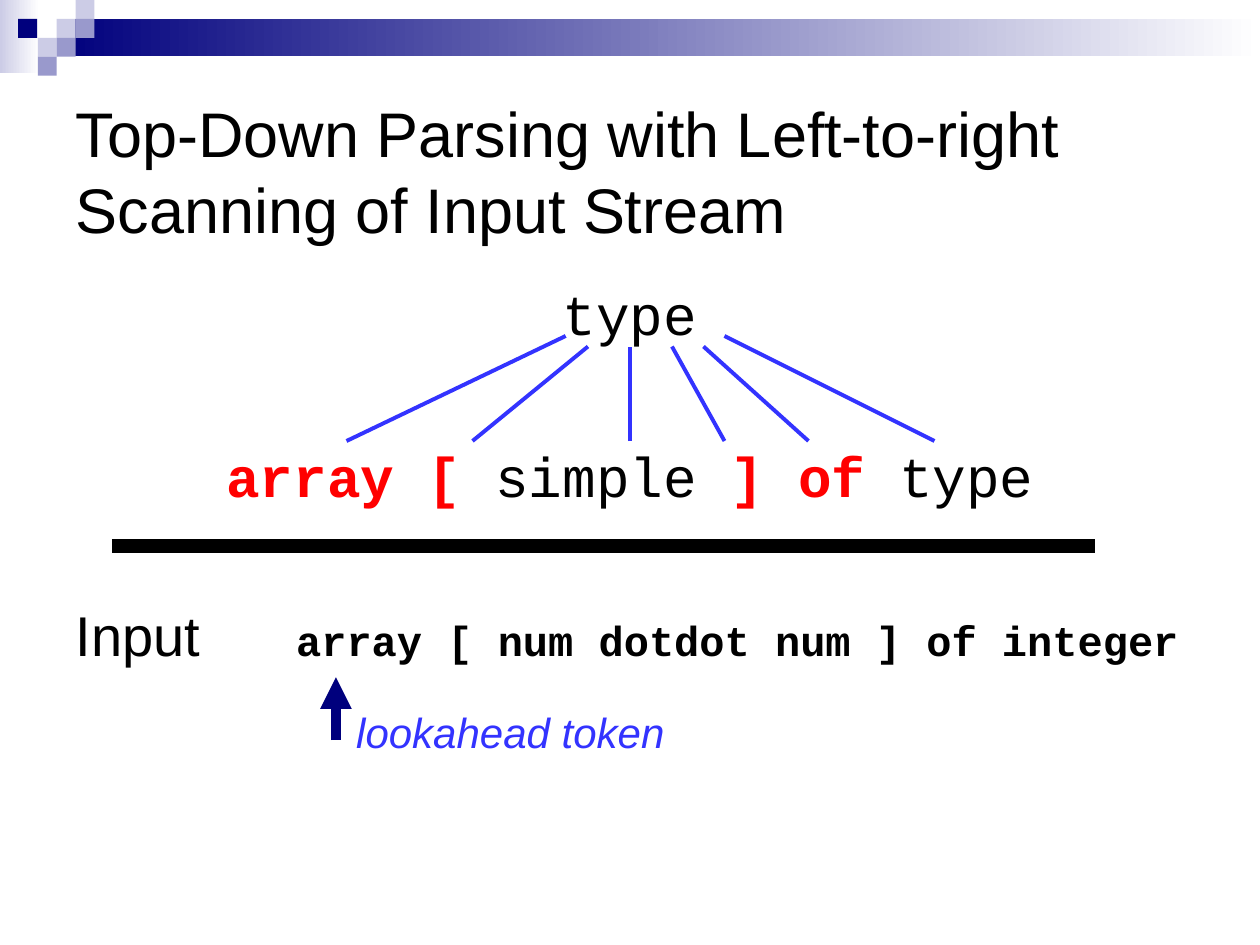
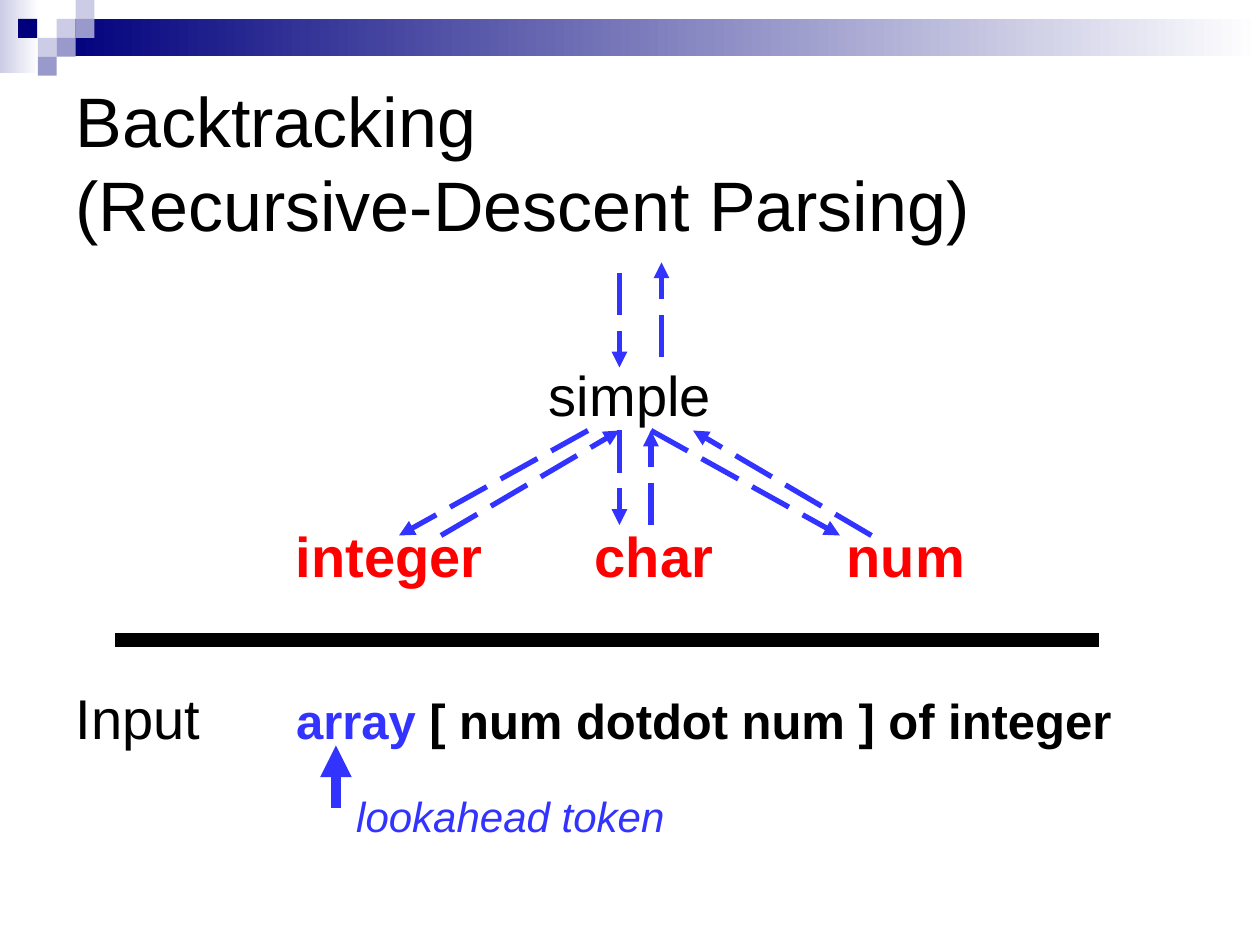
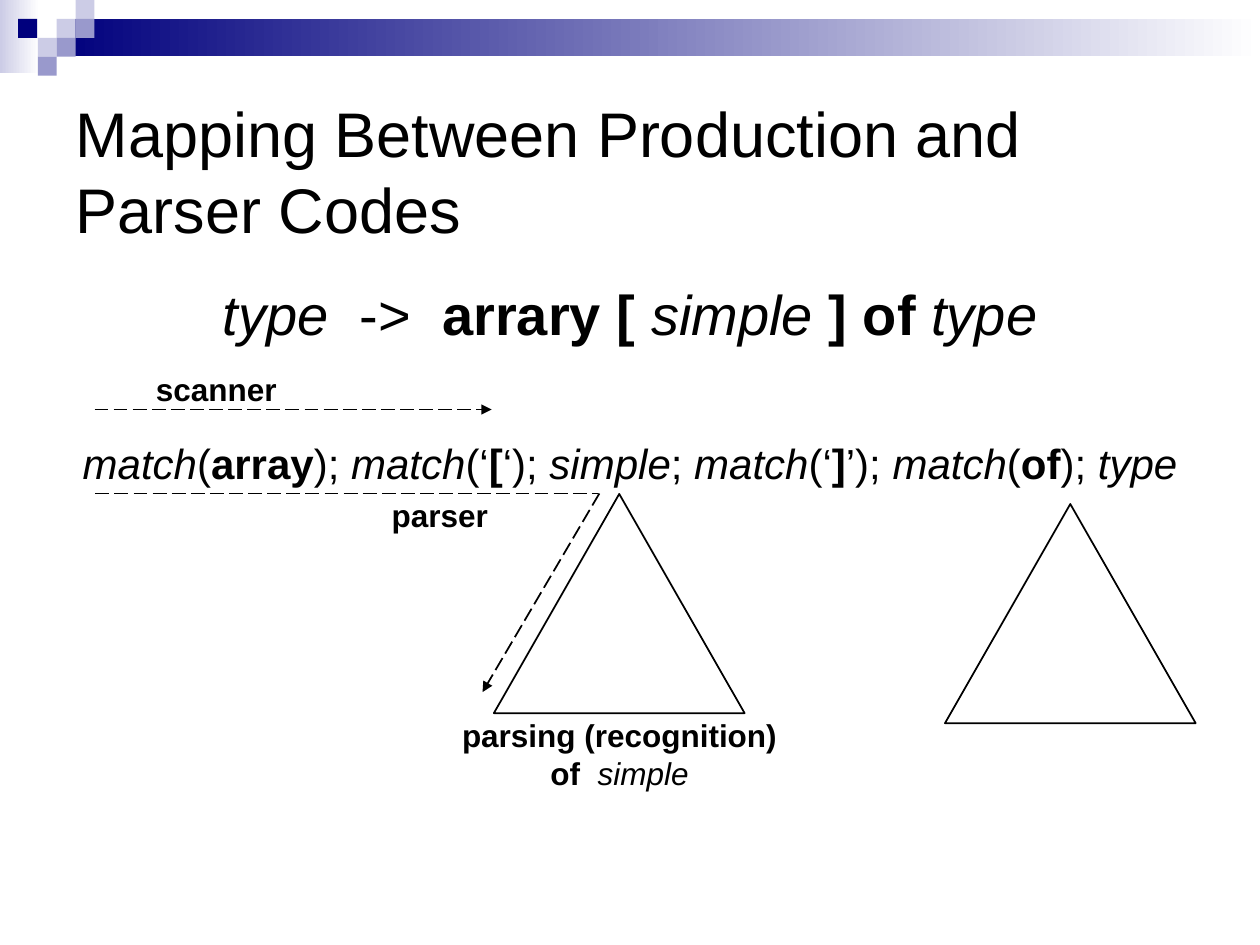
from lxml import etree
from pptx import Presentation
from pptx import util as u
from pptx.dml.color import RGBColor
from pptx.enum import dml, shapes, text
from pptx.oxml import ns

Pt = u.Pt
NAVY, BLUE, RED, BLACK, WHITE = "00007D", "3333FF", "FF0000", "000000", "FFFFFF"
PALE, LILAC = "CCCCE6", "9999CC"
SANS, MONO = "Arial", "Courier New"
CENTER, LEFT = text.PP_ALIGN.CENTER, text.PP_ALIGN.LEFT

# ---- Shared content: bands, squares, title and input line ----
TITLE_BOX = (36, 36, 648, 108)
BANDS = [((0, 0, 22.5, 42), PALE), ((32.4, 10.8, 687.6, 21.2), NAVY)]
SQUARE = 10.8
SQUARES = [(32.4, 10.8, PALE), (43.2, 0, PALE), (43.2, 10.8, LILAC),
           (21.6, 21.6, PALE), (10.4, 10.8, NAVY), (32.4, 21.6, LILAC),
           (21.6, 32.4, LILAC)]
INPUT_HANG = 126
BOLD, ITALIC = {"bold": True}, {"italic": True}
TERMINAL = {"bold": True, "color": RED}

# ---- Slide contents: each paragraph is (runs, format) ----
SCANNING = {
    "title": "Top-Down Parsing with Left-to-right Scanning of Input Stream",
    "title_size": 36,
    "body_box": (36, 156, 648, 306),
    "body": [
        (["type"], {"font": MONO, "align": CENTER}),
        ([("array [", TERMINAL), " simple ", ("] of", TERMINAL), " type"],
         {"font": MONO, "align": CENTER, "before": 54.5}),
        (["Input\t", ("array [ num dotdot num ] of integer",
                      {"size": 24, "font": MONO, "bold": True})],
         {"before": 52.5, "hang": INPUT_HANG}),
    ],
    "marker": {"rule": (64, 626, 312), "arrow_top": 387, "label_top": 400,
               "color": NAVY},
}
BRANCHES = [((198, 252), (323.25, 192)), ((270, 252), (336, 198)),
            ((360, 252), (360, 198)), ((414, 252), (384, 198)),
            ((402, 198), (462, 252)), ((414, 192), (534, 252))]

BACKTRACKING = {
    "title": "Backtracking\n(Recursive-Descent Parsing)",
    "title_size": 40,
    "body_box": (36, 202.25, 648, 301),
    "body": [
        (["simple"], {"align": CENTER}),
        (["Input\t", ("array", {"size": 28, "bold": True, "color": BLUE}),
          (" [ num dotdot num ] of integer", {"size": 28, "bold": True})],
         {"before": 146.5, "hang": INPUT_HANG}),
    ],
    "marker": {"rule": (66, 628, 366), "arrow_top": 426, "label_top": 448,
               "color": BLUE},
}
TERMINALS_TOP = 294.5
TERMINALS = [("integer", 162), ("char", 332.75), ("num", 476.75)]
CALLS_AND_RETURNS = [
    ((378, 204), (378, 150)), ((372, 246), (480, 306)),
    ((498, 306), (396, 246)), ((372, 300), (372, 246)),
    ((354, 156), (354, 210)), ((354, 246), (354, 300)),
    ((336, 246), (228, 306)), ((252, 306), (354, 246))]

MAPPING = {
    "title": "Mapping Between Production and Parser Codes",
    "title_size": 36,
    "body_box": (12, 156, 696, 138),
    "body": [
        ([("type  ", ITALIC), "->  ", ("arrary [ ", BOLD), ("simple ", ITALIC),
          ("] of ", BOLD), ("type", ITALIC)], {"align": CENTER}),
        ([("match", ITALIC), "(", ("array", BOLD), "); ",
          ("match", ITALIC), "(‘", ("[", BOLD), "‘); ", ("simple", ITALIC), "; ",
          ("match", ITALIC), "(‘", ("]", BOLD), "’); ",
          ("match", ITALIC), "(", ("of", BOLD), "); ", ("type", ITALIC)],
         {"size": 24, "align": CENTER, "before": 52}),
    ],
}
SUBTREE_SIZE = (143.25, 125.25)
SUBTREES = [(282.25, 282.25), (540, 288)]
PASSES = [((54, 234), (281, 234), True), ((54.5, 282), (341.5, 282), False),
          ((342.5, 282), (275.75, 395.5), True)]
PASS_LABELS = [("scanner", (82, 208, 100, 29)), ("parser", (216.75, 280, 90, 29))]
CAPTION_BOX = (247, 405.75, 214, 50.5)
CAPTION = [["parsing (recognition)"],
           ["of  ", ("simple", {"bold": False, "italic": True})]]


# ---- Helpers ----
def rgb(color):
    return RGBColor.from_string(color)


def lengths(box):
    return [Pt(value) for value in box]


def write(frame, runs, size=32, font=SANS, color=BLACK, bold=False, italic=False,
          align=LEFT, before=0, hang=0):
    """Add one paragraph made of strings and (string, format) pairs."""
    first = frame.paragraphs[0]
    paragraph = frame.add_paragraph() if first.runs else first
    props = paragraph._p.get_or_add_pPr()
    props.set("marL", str(Pt(hang)))
    props.set("indent", str(Pt(-hang)))
    etree.SubElement(props, ns.qn("a:buNone"))
    paragraph.alignment = align
    paragraph.space_before = Pt(before)
    base = {"size": size, "font": font, "color": color, "bold": bold, "italic": italic}
    for item in runs:
        words, changes = (item, {}) if isinstance(item, str) else item
        style = {**base, **changes}
        for index, part in enumerate(words.split("\n")):
            if index:
                paragraph.add_line_break()
            run = paragraph.add_run()
            run.text = part
            run.font.size, run.font.name = Pt(style["size"]), style["font"]
            run.font.bold, run.font.italic = style["bold"], style["italic"]
            run.font.color.rgb = rgb(style["color"])


def label(slide, box, paragraphs, **style):
    frame = slide.shapes.add_textbox(*lengths(box)).text_frame
    frame.word_wrap = True
    for runs in paragraphs:
        write(frame, runs, **style)


def line(slide, start, end, color=BLACK, width=1, dashed=False, arrow=False):
    connector = slide.shapes.add_connector(
        shapes.MSO_CONNECTOR.STRAIGHT, *lengths(start + end))
    connector.line.color.rgb = rgb(color)
    connector.line.width = Pt(width)
    if dashed:
        connector.line.dash_style = dml.MSO_LINE.LONG_DASH
    props = connector.element.spPr
    if arrow:
        etree.SubElement(props.find(ns.qn("a:ln")), ns.qn("a:tailEnd"), type="triangle")
    etree.SubElement(props, ns.qn("a:effectLst"))


def rectangle(slide, box, color, fade=False):
    block = slide.shapes.add_shape(shapes.MSO_SHAPE.RECTANGLE, *lengths(box))
    block.shadow.inherit = False
    block.line.fill.background()
    if fade:
        block.fill.gradient()
        block.fill.gradient_angle = 0
        for stop, shade in zip(block.fill.gradient_stops, (color, WHITE)):
            stop.color.rgb = rgb(shade)
    else:
        block.fill.solid()
        block.fill.fore_color.rgb = rgb(color)
    return block


def decorate_master(prs, slide):
    """Draw the bands and squares, then move them to the slide master."""
    blocks = [rectangle(slide, box, color, fade=True) for box, color in BANDS]
    blocks += [rectangle(slide, (x, y, SQUARE, SQUARE), color) for x, y, color in SQUARES]
    tree = prs.slide_master.shapes.element
    for index, block in enumerate(blocks):
        tree.insert(2 + index, block.element)


def fill_placeholder(holder, box, anchor):
    holder.left, holder.top, holder.width, holder.height = lengths(box)
    frame = holder.text_frame
    frame.word_wrap = True
    frame.auto_size = text.MSO_AUTO_SIZE.NONE
    frame.vertical_anchor = anchor
    return frame


def add_slide(prs, content):
    slide = prs.slides.add_slide(prs.slide_layouts[1])
    title = fill_placeholder(slide.shapes.title, TITLE_BOX, text.MSO_ANCHOR.BOTTOM)
    write(title, [content["title"]], size=content["title_size"])
    body = fill_placeholder(slide.placeholders[1], content["body_box"], text.MSO_ANCHOR.TOP)
    for runs, style in content["body"]:
        write(body, runs, **style)
    if "marker" in content:
        mark_lookahead(slide, **content["marker"])
    return slide


def mark_lookahead(slide, rule, arrow_top, label_top, color):
    left, right, y = rule
    line(slide, (left, y), (right, y), width=8)
    line(slide, (192, arrow_top + 36), (192, arrow_top), color, 6, arrow=True)
    label(slide, (196.5, label_top, 200, 36), [["lookahead token"]],
          size=24, color=BLUE, italic=True)


def main():
    prs = Presentation()
    prs.slide_width, prs.slide_height = Pt(720), Pt(540)

    # Scanning: tree branches from type to its parts
    scanning = add_slide(prs, SCANNING)
    decorate_master(prs, scanning)
    for start, end in BRANCHES:
        line(scanning, start, end, BLUE, 2.25)

    # Backtracking: terminals with dashed calls and returns
    backtracking = add_slide(prs, BACKTRACKING)
    for name, left in TERMINALS:
        label(backtracking, (left, TERMINALS_TOP, 140, 46), [[name]], **TERMINAL)
    for start, end in CALLS_AND_RETURNS:
        line(backtracking, start, end, BLUE, 3, dashed=True, arrow=True)

    # Mapping: subtrees, scanner and parser passes
    mapping = add_slide(prs, MAPPING)
    for corner in SUBTREES:
        subtree = mapping.shapes.add_shape(
            shapes.MSO_SHAPE.ISOSCELES_TRIANGLE, *lengths(corner + SUBTREE_SIZE))
        subtree.shadow.inherit = False
        subtree.fill.background()
        subtree.line.color.rgb = rgb(BLACK)
        subtree.line.width = Pt(1)
    label(mapping, CAPTION_BOX, CAPTION, size=18, bold=True, align=CENTER)
    for start, end, arrow in PASSES:
        line(mapping, start, end, dashed=True, arrow=arrow)
    for name, box in PASS_LABELS:
        label(mapping, box, [[name]], size=18, bold=True)

    prs.save("out.pptx")


if __name__ == "__main__":
    main()
